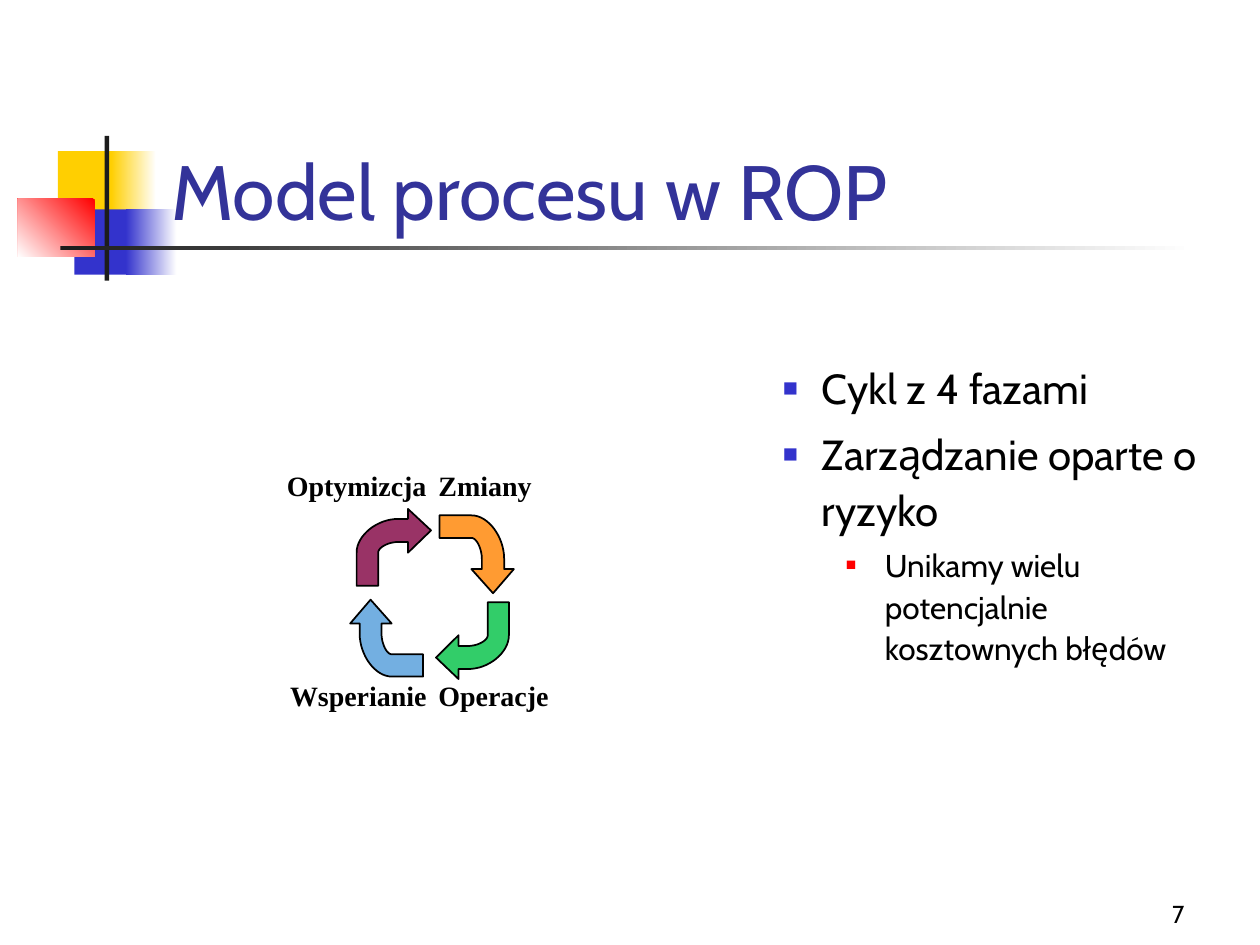
"""Build the slide on an operations process model and its cycle of four phases."""
from typing import NamedTuple, Optional

from lxml.etree import SubElement
from pptx import Presentation
from pptx.dml.color import RGBColor
from pptx.enum.shapes import MSO_SHAPE
from pptx.enum.text import MSO_ANCHOR as Anchor, MSO_AUTO_SIZE as AutoSize, PP_ALIGN as Align
from pptx.oxml.ns import qn
from pptx.util import Cm, Pt

WHITE = RGBColor(0xFF, 0xFF, 0xFF)
BLACK = RGBColor(0x00, 0x00, 0x00)
CHARCOAL = RGBColor(0x1C, 0x1C, 0x1C)
YELLOW = RGBColor(0xFF, 0xCF, 0x01)
BLUE = RGBColor(0x33, 0x33, 0xCC)
RED = RGBColor(0xFF, 0x00, 0x00)
NAVY = RGBColor(0x33, 0x33, 0x99)
PLUM = RGBColor(0x99, 0x33, 0x66)
ORANGE = RGBColor(0xFF, 0x9B, 0x32)
GREEN = RGBColor(0x32, 0xCD, 0x69)
SKY = RGBColor(0x73, 0xAF, 0xE1)
SANS, SERIF = "Cabin", "Times New Roman"


class Block(NamedTuple):
    box: tuple
    color: RGBColor
    fade_to: Optional[RGBColor] = None
    angle: float = 0


class Phase(NamedTuple):
    name: str
    label_box: tuple
    align: Align
    arrow_box: tuple
    turns: int
    color: RGBColor


class Bullet(NamedTuple):
    text: str
    level: int = 0
    line_spacing: object = 1.1


class BulletStyle(NamedTuple):
    margin: float
    size: int
    before: float
    color: RGBColor
    percent: int


BLOCKS = [
    Block((1.17, 3.05, 1.22, 1.32), YELLOW),
    Block((2.24, 3.05, 0.91, 1.32), YELLOW, WHITE),
    Block((1.5, 4.22, 1.17, 1.32), BLUE),
    Block((2.54, 4.22, 1.02, 1.32), BLUE, WHITE),
    Block((0.36, 4.01, 1.55, 1.17), RED, WHITE, 225),
    Block((2.11, 2.74, 0.09, 2.92), CHARCOAL),
    Block((1.22, 4.95, 22.86, 0.09), CHARCOAL, WHITE),
]
PHASES = [
    Phase("Optymizcja", (5.28, 9.5, 3.4, 0.64), Align.RIGHT, (7.19, 10.26, 1.5, 1.55), 0, PLUM),
    Phase("Zmiany", (8.76, 9.5, 3.43, 0.64), Align.LEFT, (8.86, 10.39, 1.5, 1.57), 1, ORANGE),
    Phase("Operacje", (8.76, 13.74, 3.43, 0.64), Align.LEFT, (8.79, 12.14, 1.47, 1.55), 2, GREEN),
    Phase("Wsperianie", (5.28, 13.74, 3.4, 0.64), Align.RIGHT, (7.06, 12.09, 1.47, 1.55), 3, SKY),
]
BULLETS = [
    Bullet("Cykl z 4 fazami", line_spacing=Pt(26.2)),
    Bullet("Zarządzanie oparte o ryzyko"),
    Bullet("Unikamy wielu potencjalnie kosztownych błędów", 1),
]
BULLET_STYLES = [BulletStyle(0.79, 24, 6, BLUE, 60), BulletStyle(2.06, 18, 4.5, RED, 55)]


def place(sp, box: tuple) -> None:
    """Move and size a shape in centimetres."""
    sp.left, sp.top, sp.width, sp.height = (Cm(v) for v in box)


def frame(sp, anchor: Anchor, insets: tuple):
    """Set up and return the text frame of a shape."""
    tf = sp.text_frame
    tf.word_wrap, tf.auto_size, tf.vertical_anchor = True, AutoSize.NONE, anchor
    tf.margin_left, tf.margin_top, tf.margin_right, tf.margin_bottom = (Cm(v) for v in insets)
    return tf


def add_run(p, text: str, font: str, size: float, color: RGBColor, bold: bool = False) -> None:
    """Add one formatted run."""
    r = p.add_run()
    r.text = text
    r.font.name, r.font.size, r.font.bold = font, Pt(size), bold
    r.font.color.rgb = color


def add_block(s, block: Block) -> None:
    """Add a borderless rectangle, solid or fading."""
    sp = s.shapes.add_shape(MSO_SHAPE.RECTANGLE, *(Cm(v) for v in block.box))
    sp.shadow.inherit = False
    sp.line.fill.background()
    if block.fade_to is None:
        sp.fill.solid()
        sp.fill.fore_color.rgb = block.color
        return
    sp.fill.gradient()
    sp.fill.gradient_angle = block.angle
    for stop, color in zip(sp.fill.gradient_stops, (block.color, block.fade_to)):
        stop.color.rgb = color


def curve(a: tuple, b: tuple, c: tuple, d: tuple, steps: int = 16) -> list:
    """Return the points of a cubic Bezier curve."""
    ts = [i / steps for i in range(steps + 1)]
    return [tuple((1 - t) ** 3 * w + 3 * t * (1 - t) ** 2 * x + 3 * t * t * (1 - t) * y + t ** 3 * z
                  for w, x, y, z in zip(a, b, c, d)) for t in ts]


ARROW = [
    (0, 1), *curve((0, 0.57), (0, 0.34), (0.28, 0.13), (0.56, 0.13)),
    (0.69, 0.13), (0.69, 0), (1, 0.28), (0.69, 0.57), (0.69, 0.43),
    *curve((0.56, 0.43), (0.43, 0.43), (0.29, 0.5), (0.29, 0.57)), (0.29, 1),
]


def add_arrow(s, box: tuple, turns: int, color: RGBColor) -> None:
    """Add the bent arrow, turned clockwise by quarter turns."""
    pts = ARROW
    for _ in range(turns):
        pts = [(1 - y, x) for x, y in pts]
    left, top, width, height = box
    pts = [(Cm(left + x * width), Cm(top + y * height)) for x, y in pts]
    builder = s.shapes.build_freeform(*pts[0])
    builder.add_line_segments(pts[1:], close=True)
    sp = builder.convert_to_shape()
    sp.shadow.inherit = False
    sp.fill.solid()
    sp.fill.fore_color.rgb = color
    sp.line.color.rgb, sp.line.width = BLACK, Pt(1)


def add_phase(s, phase: Phase) -> None:
    """Add the label and arrow of one phase."""
    sp = s.shapes.add_textbox(*(Cm(v) for v in phase.label_box))
    p = frame(sp, Anchor.TOP, (0.08, 0, 0.08, 0)).paragraphs[0]
    p.alignment, p.line_spacing = phase.align, 0.93
    add_run(p, phase.name, SERIF, 16, BLACK, True)
    add_arrow(s, phase.arrow_box, phase.turns, phase.color)


def add_bullet(p, bullet: Bullet, first: bool) -> None:
    """Fill one paragraph with a square bullet and its text."""
    style = BULLET_STYLES[bullet.level]
    p.level = bullet.level
    pPr = p._p.get_or_add_pPr()
    pPr.set("marL", str(Cm(style.margin)))
    pPr.set("indent", str(-Cm(0.79)))
    SubElement(SubElement(pPr, qn("a:buClr")), qn("a:srgbClr"), val=str(style.color))
    SubElement(pPr, qn("a:buSzPct"), val=str(style.percent * 1000))
    SubElement(pPr, qn("a:buChar"), char="■")
    p.alignment, p.line_spacing = Align.LEFT, bullet.line_spacing
    p.space_before = Pt(0 if first else style.before)
    add_run(p, bullet.text, SANS, style.size, BLACK)


def main() -> None:
    """Build and save the slide."""
    prs = Presentation()
    prs.slide_width, prs.slide_height = Cm(25.4), Cm(19.05)
    s = prs.slides.add_slide(prs.slide_layouts[1])
    title, body = s.placeholders
    for block in BLOCKS:
        add_block(s, block)

    place(title, (3.2, 1.7, 21.64, 3.18))
    p = frame(title, Anchor.BOTTOM, (0.25, 0.13, 0.25, 0.13)).paragraphs[0]
    p.alignment = Align.LEFT
    add_run(p, "Model procesu w ROP", SANS, 44, NAVY)

    place(body, (15.65, 2.87, 8.99, 15.11))
    tf = frame(body, Anchor.MIDDLE, (0.13, 0.13, 0.13, 0.13))
    for i, bullet in enumerate(BULLETS):
        add_bullet(tf.add_paragraph() if i else tf.paragraphs[0], bullet, i == 0)
    for sp in (title, body):
        sp.element.getparent().append(sp.element)

    for phase in PHASES:
        add_phase(s, phase)

    number = s.shapes.add_textbox(Cm(18.85), Cm(17.91), Cm(5.28), Cm(0.94))
    p = frame(number, Anchor.BOTTOM, (0.25, 0.13, 0.25, 0.13)).paragraphs[0]
    p.alignment = Align.RIGHT
    add_run(p, "7", SANS, 14, BLACK)
    prs.save("out.pptx")


if __name__ == "__main__":
    main()
